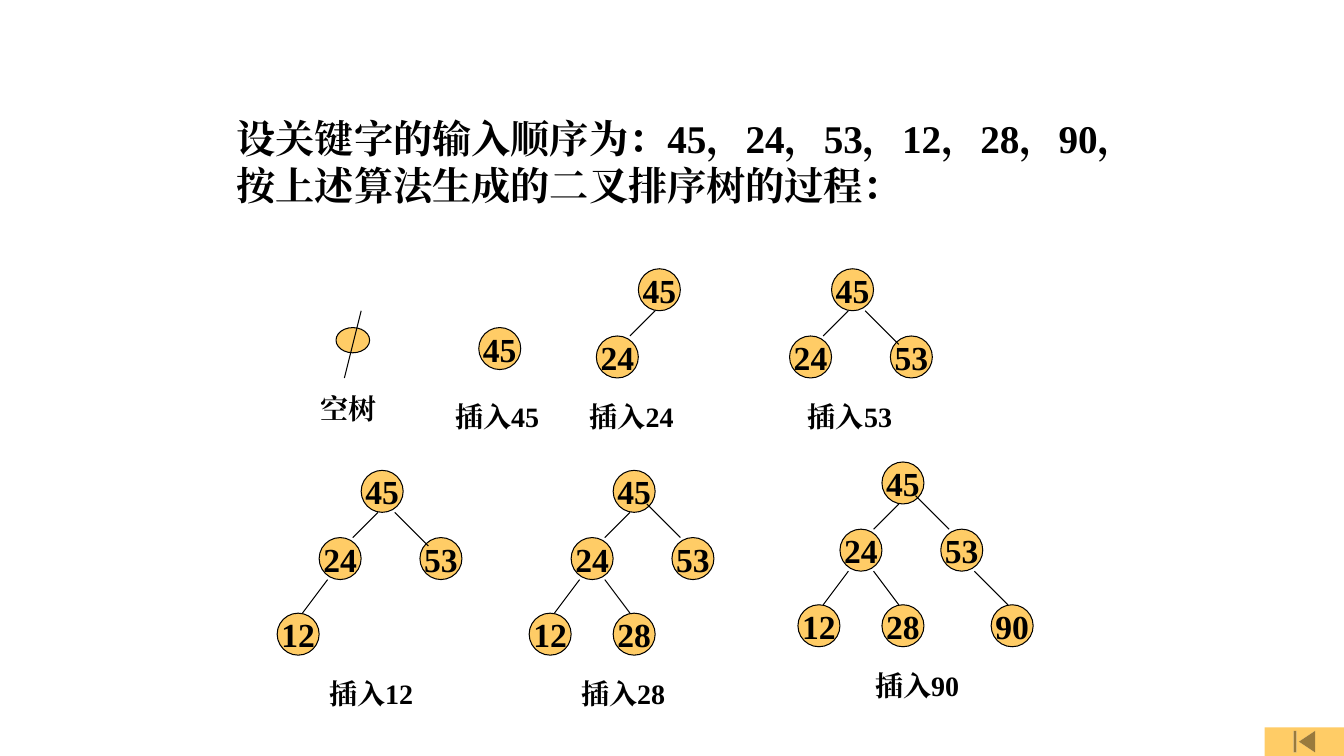
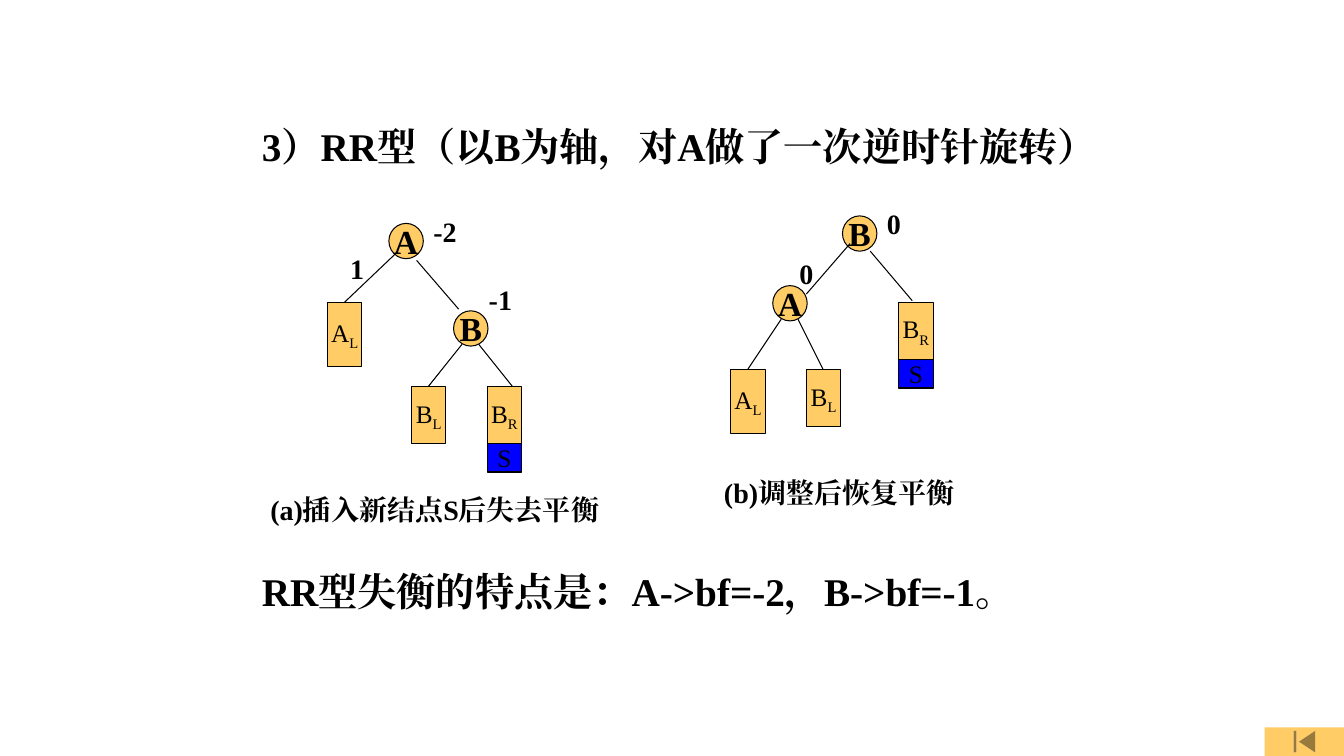
from lxml.etree import SubElement
from pptx import Presentation
from pptx.dml.color import RGBColor
from pptx.enum.lang import MSO_LANGUAGE_ID as Language
from pptx.enum.shapes import MSO_CONNECTOR as Connector, MSO_SHAPE as Preset
from pptx.enum.text import MSO_ANCHOR as Anchor, PP_ALIGN as Align
from pptx.oxml.ns import qn
from pptx.util import Inches, Pt

COLORS = {"node": "FFCC66", "inserted": "0000FF", "ink": "000000"}
FONT = "Times New Roman"
TITLE, NODE, CAPTION, BLOCK = 28, 24, 20, 18
CELL = Inches(1) // 12
COLUMNS, ROWS = 160, 90


def add_item(slide, box, text="", size=CAPTION, preset=None, fill="node", outlined=True):
    left, top, width, height = [round(value * CELL) for value in box]
    if preset is None:
        shape = slide.shapes.add_textbox(left, top, width, height)
    else:
        shape = slide.shapes.add_shape(preset, left, top, width, height)
        shape.shadow.inherit = False
        shape.fill.solid()
        shape.fill.fore_color.rgb = RGBColor.from_string(COLORS[fill])
        if outlined:
            shape.line.color.rgb = RGBColor.from_string(COLORS["ink"])
            shape.line.width = Pt(0.75)
        else:
            shape.line.fill.background()
    if not text:
        return
    frame = shape.text_frame
    frame.word_wrap = preset is None
    paragraph = frame.paragraphs[0]
    if preset is not None:
        frame.vertical_anchor = Anchor.MIDDLE
        paragraph.alignment = Align.CENTER
    for index, piece in enumerate(text.split("_")):
        run = paragraph.add_run()
        run.text = piece
        run.font.size = Pt(size)
        run.font.bold = size > BLOCK
        run.font.color.rgb = RGBColor.from_string(COLORS["ink"])
        run.font.name = FONT
        run.font.language_id = Language.SIMPLIFIED_CHINESE
        properties = run._r.get_or_add_rPr()
        SubElement(properties, qn("a:ea")).set("typeface", FONT)
        if index:
            properties.set("baseline", "-25000")


def add_edge(slide, *ends):
    edge = slide.shapes.add_connector(Connector.STRAIGHT, *[round(end * CELL) for end in ends])
    edge.line.color.rgb = RGBColor.from_string(COLORS["ink"])
    edge.line.width = Pt(0.75)
    SubElement(edge._element.spPr, qn("a:effectLst"))


presentation = Presentation()
presentation.slide_width = COLUMNS * CELL
presentation.slide_height = ROWS * CELL
blank = presentation.slide_layouts[6]
insertion, rotation = [presentation.slides.add_slide(blank) for _ in range(2)]
for slide in (insertion, rotation):
    add_item(slide, (COLUMNS - 9.44, ROWS - 3.4, 9.44, 3.4),
             preset=Preset.ACTION_BUTTON_BEGINNING, outlined=False)

add_item(insertion, (27, 13, 110, 12.3),
         "设关键字的输入顺序为：45，24，53，12，28，90，按上述算法生成的二叉排序树的过程：", TITLE)
add_item(insertion, (40, 39, 4, 3), preset=Preset.OVAL)
add_edge(insertion, 43, 37, 41, 45)
add_item(insertion, (37, 46, 10, 5.2), "空树")

tree_nodes = [
    ("45", (0, 0), None),
    ("24", (-5, 8), (2, 5, -1, 8)),
    ("53", (7, 8), (4, 5, 8, 9)),
    ("12", (-10, 17), (-4, 13, -7, 17)),
    ("28", (0, 17), (-1, 13, 2, 17)),
    ("90", (13, 17), (11, 13, 15, 17)),
]
tree_places = [
    (57, 39, 53, 47, 0), (76, 32, 69, 47, 0), (99, 32, 95, 47, 0),
    (43, 56, 38, 80, 0), (73, 56, 68, 80, 1), (105, 55, 103, 79, 1),
]
for count, (left, top, caption_left, caption_top, lift) in enumerate(tree_places, 1):
    for key, (across, down), edge in tree_nodes[:count]:
        add_item(insertion, (left + across, top + down, 5, 5), key, NODE, Preset.OVAL)
        if edge:
            x1, y1, x2, y2 = edge
            rise = lift if key == "53" else 0
            add_edge(insertion, left + x1, top + y1 - rise, left + x2, top + y2 - rise)
    add_item(insertion, (caption_left, caption_top, 14, 5.2), f"插入{key}")

rotation_texts = [
    (30, 14, 106, "3）RR型（以B为轴，对A做了一次逆时针旋转）", TITLE),
    (31, 58, 42, "(a)插入新结点S后失去平衡", CAPTION),
    (85, 56, 34, "(b)调整后恢复平衡", CAPTION),
    (30, 67, 100, "RR型失衡的特点是：A->bf=-2，B->bf=-1。", TITLE),
    (50.4, 25, 6.6, "-2", CAPTION),
    (40.5, 29.3, 4.1, "1", CAPTION),
    (57, 33, 6.6, "-1", CAPTION),
    (104.4, 24, 6.6, "0", CAPTION),
    (94, 30, 4.1, "0", CAPTION),
]
for left, top, width, text, size in rotation_texts:
    add_item(rotation, (left, top, width, 0.24 * size), text, size)

for left, top, name in [(46.3, 26.6, "A"), (54, 37, "B"), (100.3, 25.7, "B"), (92, 34, "A")]:
    add_item(rotation, (left, top, 4.1, 4.2), name, NODE, Preset.OVAL)

block_heights = {"A_L": 7.6, "B_L": 6.8, "B_R": 6.8}
blocks = [
    (39, 36, "A_L"), (49, 46, "B_L"), (58, 46, "B_R"),
    (87, 44, "A_L"), (96, 44, "B_L"), (107, 36, "B_R"),
]
for left, top, name in blocks:
    height = block_heights[name]
    add_item(rotation, (left, top, 4.1, height), name, BLOCK, Preset.RECTANGLE)
    if name == "B_R":
        add_item(rotation, (left, top + height, 4.1, 3.4), "S", BLOCK, Preset.RECTANGLE, "inserted")

rotation_edges = [
    (47.2, 30.1, 41, 36), (49.6, 31, 54.6, 36.8), (55, 41, 51, 46), (57, 41, 61, 46),
    (101.2, 29, 96, 35), (103.6, 29.9, 108.6, 35.8), (93, 38, 89, 44), (95, 38, 98, 44),
]
for ends in rotation_edges:
    add_edge(rotation, *ends)

presentation.save("out.pptx")
